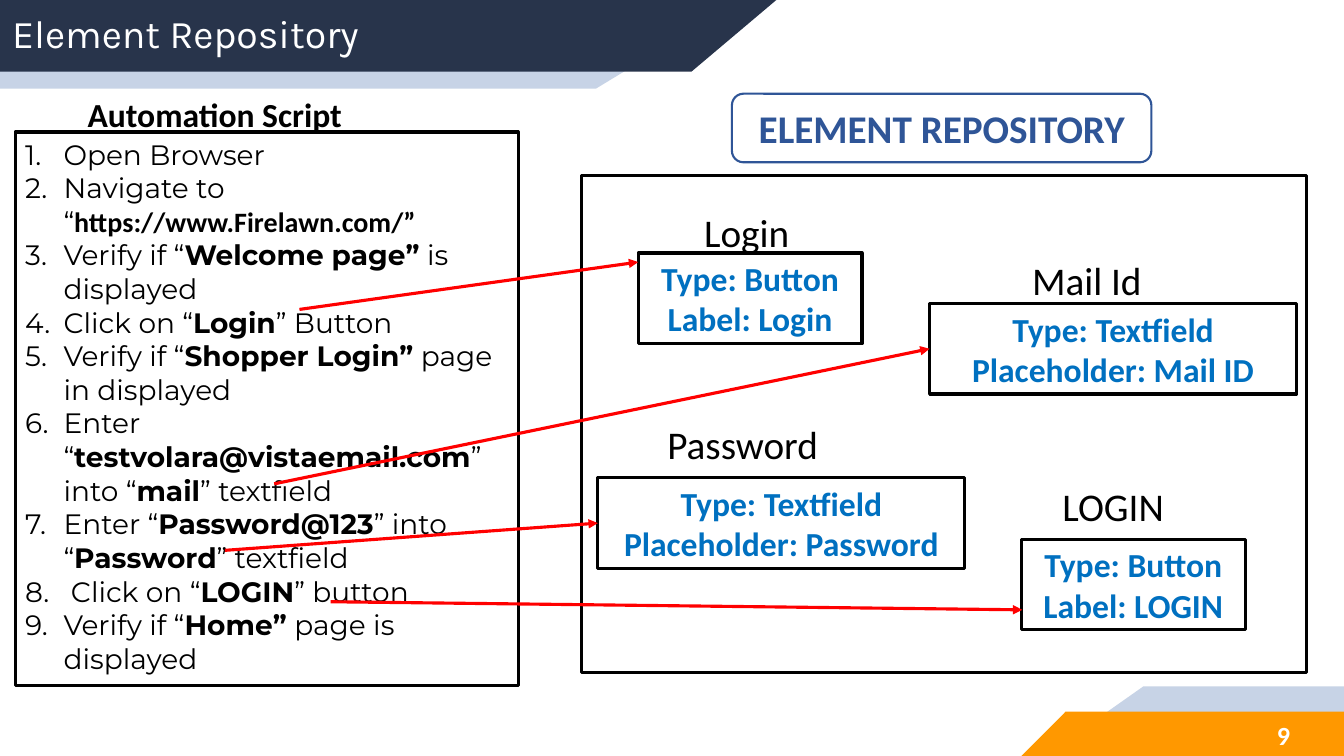
from dataclasses import dataclass
from typing import Optional

from lxml.etree import SubElement
from pptx import Presentation
from pptx.dml.color import RGBColor
from pptx.enum.shapes import MSO_CONNECTOR as Connector, MSO_SHAPE as Shape
from pptx.enum.text import MSO_ANCHOR as Anchor, MSO_AUTO_SIZE as AutoSize, PP_ALIGN as Align
from pptx.oxml.ns import qn
from pptx.util import Inches, Pt

COLORS = {
    "white": "FFFFFF", "black": "000000", "navy": "28344B", "pale": "C7D3E6",
    "orange": "FF9800", "blue": "0070C0", "heading": "2F5597", "red": "FF0000",
}


@dataclass
class Band:
    color: str
    points: list[tuple[float, float]]


@dataclass
class Label:
    text: str
    at: tuple[float, float, float, float]
    size: float = 28
    color: str = "black"
    bold: bool = False
    align: Align = Align.CENTER
    anchor: Anchor = Anchor.TOP
    wrap: bool = False


@dataclass
class Element:
    name: Label
    kind: str
    detail: str
    at: tuple[float, float, float]
    start: tuple[float, float]
    end: Optional[tuple[float, float]] = None


BANDS = [
    Band("pale", [(0, 0), (7.36, 0), (5.91, 0.88), (0, 0.88)]),
    Band("navy", [(0, 0), (7.7, 0), (6.86, 0.71), (0, 0.71)]),
    Band("pale", [(10.36, 7.5), (11.34, 6.81), (13.33, 6.81), (13.33, 7.5)]),
    Band("orange", [(10.13, 7.5), (10.57, 7.06), (13.33, 7.06), (13.33, 7.5)]),
]

STEPS = [
    "Open Browser",
    "Navigate to “**https://www.Firelawn.com/”**",
    "Verify if “**Welcome page”** is displayed",
    "Click on “**Login**” Button",
    "Verify if “**Shopper Login”** page in displayed",
    "Enter “**testvolara@vistaemail.com**” into “**mail**” textfield",
    "Enter “**Password@123**” into “**Password**” textfield",
    " Click on “**LOGIN**” button",
    "Verify if “**Home”** page is displayed",
]

ELEMENTS = [
    Element(Label("Login", (6.88, 2.02, 1.05, 0.57)), "Button", "Label: Login",
            (6.33, 2.51, 2.22), (2.97, 3.07), (6.33, 2.6)),
    Element(Label("Mail Id", (10.13, 2.49, 1.3, 0.57)), "Textfield", "Placeholder: Mail ID",
            (9.22, 3.01, 3.64), (2.72, 4.8)),
    Element(Label("Password", (6.51, 4.12, 1.71, 0.57)), "Textfield", "Placeholder: Password",
            (5.93, 4.74, 3.64), (2.23, 5.46)),
    Element(Label("LOGIN", (10.43, 4.74, 1.22, 0.57)), "Button", "Label: LOGIN",
            (10.13, 5.35, 2.22), (3.28, 5.97), (10.14, 6.05)),
]

CAPTIONS = [
    Label("Automation Script", (0.77, 0.88, 3.53, 0.5), 24, bold=True, align=Align.LEFT, wrap=True),
    Label("9", (12.29, 7.07, 0.88, 0.45), 18.7, "white", True, anchor=Anchor.MIDDLE, wrap=True),
]


def rgb(name: str) -> RGBColor:
    return RGBColor.from_string(COLORS[name])


def style_font(font, size: float, color: str, bold: Optional[bool] = None,
               name: Optional[str] = "Calibri") -> None:
    font.size, font.bold, font.name = Pt(size), bold, name
    font.color.rgb = rgb(color)


def outline(sp, color: str = "black", width: float = 2.25) -> None:
    sp.fill.solid()
    sp.fill.fore_color.rgb = rgb("white")
    sp.line.color.rgb = rgb(color)
    sp.line.width = Pt(width)


def add_band(s, band: Band) -> None:
    points = [(Inches(x), Inches(y)) for x, y in band.points]
    builder = s.shapes.build_freeform(*points[0])
    builder.add_line_segments(points[1:])
    sp = builder.convert_to_shape()
    sp.shadow.inherit = False
    sp.fill.solid()
    sp.fill.fore_color.rgb = rgb(band.color)
    sp.line.fill.background()


def add_box(s, at: tuple, lines: list[str], size: float = 24, text_color: str = "blue",
            line_color: str = "black", width: float = 2.25, kind: Shape = Shape.RECTANGLE):
    sp = s.shapes.add_shape(kind, *map(Inches, at))
    sp.shadow.inherit = False
    outline(sp, line_color, width)
    tf = sp.text_frame
    tf.vertical_anchor = Anchor.MIDDLE
    tf.text = "\n".join(lines)
    for p in tf.paragraphs:
        p.alignment = Align.CENTER
        style_font(p.font, size, text_color, True)
    return sp


def add_label(s, label: Label) -> None:
    tf = s.shapes.add_textbox(*map(Inches, label.at)).text_frame
    tf.word_wrap = label.wrap
    tf.vertical_anchor = label.anchor
    p = tf.paragraphs[0]
    p.text, p.alignment = label.text, label.align
    style_font(p.font, label.size, label.color, label.bold)


def add_arrow(s, element: Element, box) -> None:
    end = map(Inches, element.end) if element.end else (box.left, box.top + box.height // 2)
    arrow = s.shapes.add_connector(Connector.STRAIGHT, *map(Inches, element.start), *end)
    if not element.end:
        arrow.end_connect(box, 1)
    arrow.line.color.rgb = rgb("red")
    arrow.line.width = Pt(2.25)
    sp_pr = arrow.element.spPr
    SubElement(sp_pr.find(qn("a:ln")), qn("a:tailEnd"), type="triangle")
    SubElement(sp_pr, qn("a:effectLst"))


def place(sp, at: tuple) -> None:
    sp.left, sp.top, sp.width, sp.height = map(Inches, at)
    sp.element.getparent().append(sp.element)


def fill_title(title) -> None:
    place(title, (0, 0.14, 7.36, 0.42))
    tf = title.text_frame
    tf.auto_size, tf.vertical_anchor = AutoSize.NONE, Anchor.MIDDLE
    tf.margin_left = Inches(0.12)
    tf.margin_top = tf.margin_right = tf.margin_bottom = 0
    p = tf.paragraphs[0]
    p.text, p.alignment, p.line_spacing = "Element Repository", Align.LEFT, 0.9
    style_font(p.font, 28, "white", name="Karla")


def fill_steps(body) -> None:
    place(body, (0.15, 1.31, 4.99, 5.49))
    outline(body)
    tf = body.text_frame
    tf.auto_size = AutoSize.NONE
    for i, step in enumerate(STEPS):
        p = tf.add_paragraph() if i else tf.paragraphs[0]
        p_pr = p._p.get_or_add_pPr()
        p_pr.set("marL", str(Inches(0.38)))
        p_pr.set("indent", str(Inches(-0.38)))
        SubElement(p_pr, qn("a:buFont"), typeface="Montserrat")
        SubElement(p_pr, qn("a:buAutoNum"), type="arabicPeriod")
        p.space_before, p.line_spacing = Pt(0), 1.0
        style_font(p.font, 20, "black", name=None)
        for j, text in enumerate(step.split("**")):
            if text:
                r = p.add_run()
                r.text = text
                r.font.bold = j % 2 == 1
                r.font.name = "Calibri" if text.startswith("https") else "Montserrat"


def main() -> None:
    prs = Presentation()
    prs.slide_width, prs.slide_height = Inches(13.33), Inches(7.5)
    s = prs.slides.add_slide(prs.slide_layouts[1])
    for band in BANDS:
        add_band(s, band)
    fill_title(s.shapes.title)
    fill_steps(s.placeholders[1])
    add_box(s, (5.77, 1.74, 7.19, 4.93), [])
    boxes = [add_box(s, (*e.at, 0.9), [f"Type: {e.kind}", e.detail]) for e in ELEMENTS]
    for element, box in zip(ELEMENTS, boxes):
        add_label(s, element.name)
        add_arrow(s, element, box)
    for caption in CAPTIONS:
        add_label(s, caption)
    add_box(s, (7.26, 0.93, 4.16, 0.68), ["ELEMENT REPOSITORY"], 28, "heading", "heading", 1.5,
            Shape.ROUNDED_RECTANGLE)
    prs.save("out.pptx")


if __name__ == "__main__":
    main()
